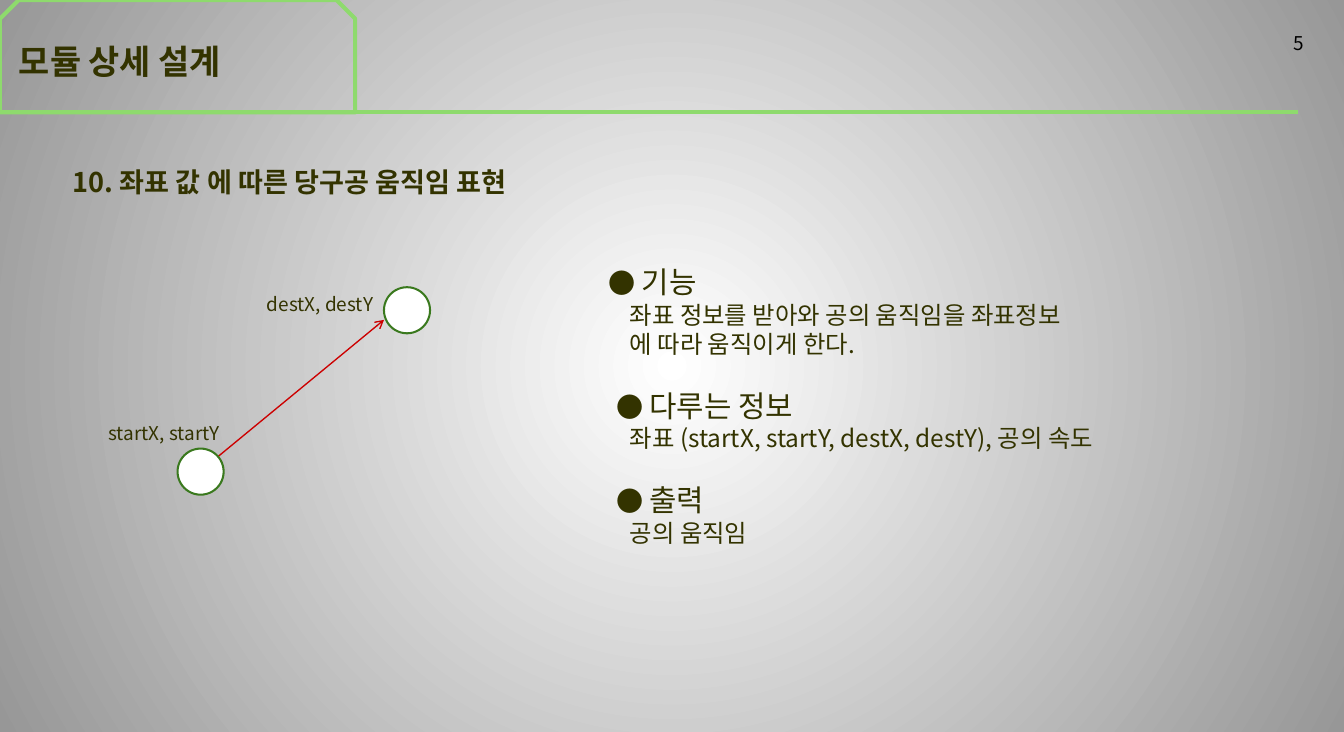
import dataclasses

import lxml.etree
import pptx
import pptx.dml.color
import pptx.enum.shapes
import pptx.enum.text
import pptx.oxml.ns
import pptx.util

SCALE = 9000
SHAPE = pptx.enum.shapes.MSO_SHAPE
ALIGN = pptx.enum.text.PP_ALIGN


@dataclasses.dataclass(frozen=True)
class Theme:
    """Colours, font and type sizes of the slide."""
    font: str = "Noto Sans CJK KR"
    text: str = "333300"
    number: str = "000000"
    frame: str = "8EDA6D"
    ball: str = "FFFFFF"
    ball_line: str = "3A791E"
    arrow: str = "CC0000"
    center: str = "FFFFFF"
    edge: str = "979797"
    title: int = 25
    heading: int = 22
    subtitle: int = 20
    dot: int = 20
    body: int = 18
    label: int = 14
    leading: float = 1.2


THEME = Theme()
SECTIONS = [
    ("기능", 0, ["좌표 정보를 받아와 공의 움직임을 좌표정보", "에 따라 움직이게 한다."]),
    ("다루는 정보", 8, ["좌표 (startX, startY, destX, destY), 공의 속도"]),
    ("출력", 8, ["공의 움직임"]),
]


def px(n):
    """Turn px into EMU."""
    return pptx.util.Emu(n * SCALE)


def rgb(value):
    """Return the colour of a hex string."""
    return pptx.dml.color.RGBColor.from_string(value)


def add_xml(parent, tag, **attrs):
    """Append a drawing element with attributes."""
    return lxml.etree.SubElement(parent, pptx.oxml.ns.qn(tag), attrs)


def write(p, text, size, color=THEME.text, bold=False, **fmt):
    """Write one run into a paragraph and format both."""
    r = p.add_run()
    r.text = text
    font = {"name": THEME.font, "size": pptx.util.Pt(size), "bold": bold}
    for key, value in font.items():
        setattr(r.font, key, value)
    r.font.color.rgb = rgb(color)
    add_xml(r.font._element, "a:ea", typeface=THEME.font)
    spacing = {"line_spacing": pptx.util.Pt(size * THEME.leading), "alignment": ALIGN.LEFT}
    for key, value in {**spacing, **fmt}.items():
        setattr(p, key, value)


def indent(p, left):
    """Set the left margin of a paragraph."""
    pPr = p._p.get_or_add_pPr()
    pPr.set("marL", str(px(left)))
    pPr.set("indent", "0")


def add_text(s, x, y, w, h):
    """Add a wrapping text box and return its text frame."""
    tf = s.shapes.add_textbox(px(x), px(y), px(w), px(h)).text_frame
    tf.word_wrap = True
    return tf


def add_outlined(s, kind, x, y, w, h, color, width, fill=None):
    """Add a preset shape with an outline and an optional fill."""
    sp = s.shapes.add_shape(kind, px(x), px(y), px(w), px(h))
    sp.shadow.inherit = False
    if fill:
        sp.fill.solid()
        sp.fill.fore_color.rgb = rgb(fill)
    else:
        sp.fill.background()
    sp.line.color.rgb = rgb(color)
    sp.line.width = pptx.util.Pt(width)
    return sp


def add_line(s, x1, y1, x2, y2, color, width, arrow=False):
    """Add a straight line, with an arrowhead at its end if asked."""
    line = s.shapes.add_connector(
        pptx.enum.shapes.MSO_CONNECTOR.STRAIGHT, px(x1), px(y1), px(x2), px(y2))
    line.line.color.rgb = rgb(color)
    line.line.width = pptx.util.Pt(width)
    if arrow:
        add_xml(line.line._get_or_add_ln(), "a:tailEnd", type="arrow")
    add_xml(line._element.spPr, "a:effectLst")


def paint_background(s):
    """Fill the background with a gradient spreading from the centre."""
    fill = s.background.fill
    fill.gradient()
    for stop, color in zip(fill.gradient_stops, (THEME.center, THEME.edge)):
        stop.color.rgb = rgb(color)
    grad = s.element.find(".//" + pptx.oxml.ns.qn("a:gradFill"))
    grad.remove(grad.find(pptx.oxml.ns.qn("a:lin")))
    spread = add_xml(grad, "a:path", path="circle")
    add_xml(spread, "a:fillToRect", **dict.fromkeys("ltrb", "50000"))


def add_header(s, x, y, w, h):
    """Place the page number, the title tab and its rule."""
    tf = add_text(s, x + w - 310, y + 28, 326, 27)
    write(tf.paragraphs[0], "5", THEME.label, THEME.number, alignment=ALIGN.RIGHT)
    tab = add_outlined(s, SHAPE.SNIP_2_SAME_RECTANGLE, x, y, 370, h, THEME.frame, 3)
    tab.adjustments[0], tab.adjustments[1] = 0.167, 0
    tf = tab.text_frame
    tf.vertical_anchor = pptx.enum.text.MSO_ANCHOR.MIDDLE
    write(tf.paragraphs[0], "모듈 상세 설계", THEME.title, bold=True)
    add_line(s, x, y + h, x + w, y + h, THEME.frame, 3)


def add_subtitle(s, x, y, w, h):
    """Place the numbered topic line."""
    p = add_text(s, x, y, w, h).paragraphs[0]
    write(p, "10. 좌표 값 에 따른 당구공 움직임 표현", THEME.subtitle, bold=True)
    indent(p, 7)


def add_description(s, x, y, w, h):
    """Place the dotted sections with their body lines."""
    tf = add_text(s, x, y, w, h)
    for i, (heading, offset, lines) in enumerate(SECTIONS):
        p = tf.add_paragraph() if i else tf.paragraphs[0]
        gap = pptx.util.Pt(THEME.body * THEME.leading if i else 0)
        write(p, "● ", THEME.dot)
        write(p, heading, THEME.heading, space_before=gap)
        indent(p, offset)
        for line in lines:
            p = tf.add_paragraph()
            write(p, line, THEME.body)
            indent(p, 22)


def add_diagram(s, x, y, w, h):
    """Place the ball's start and destination joined by an arrow."""
    size = 48
    start, dest = (x + 82, y + h - size), (x + w - size, y)
    add_line(s, start[0] + 40, start[1] + 10, dest[0], dest[1] + 34, THEME.arrow, 1, True)
    for bx, by in (start, dest):
        add_outlined(s, SHAPE.OVAL, bx, by, size, size, THEME.ball_line, 1.5, THEME.ball)
    labels = [("startX, startY", x, start[1] - 33, 212), ("destX, destY", x + 165, y, 169)]
    for text, lx, ly, lw in labels:
        write(add_text(s, lx, ly, lw, 35).paragraphs[0], text, THEME.label)


def main():
    """Build the slide and save it."""
    prs = pptx.Presentation()
    prs.slide_width, prs.slide_height = px(1400), px(762)
    s = prs.slides.add_slide(prs.slide_layouts[6])
    paint_background(s)
    add_header(s, 0, 0, 1352, 117)
    add_subtitle(s, 59, 167, 1234, 45)
    add_description(s, 624, 270, 576, 308)
    add_diagram(s, 103, 299, 345, 216)
    prs.save("out.pptx")


if __name__ == "__main__":
    main()
